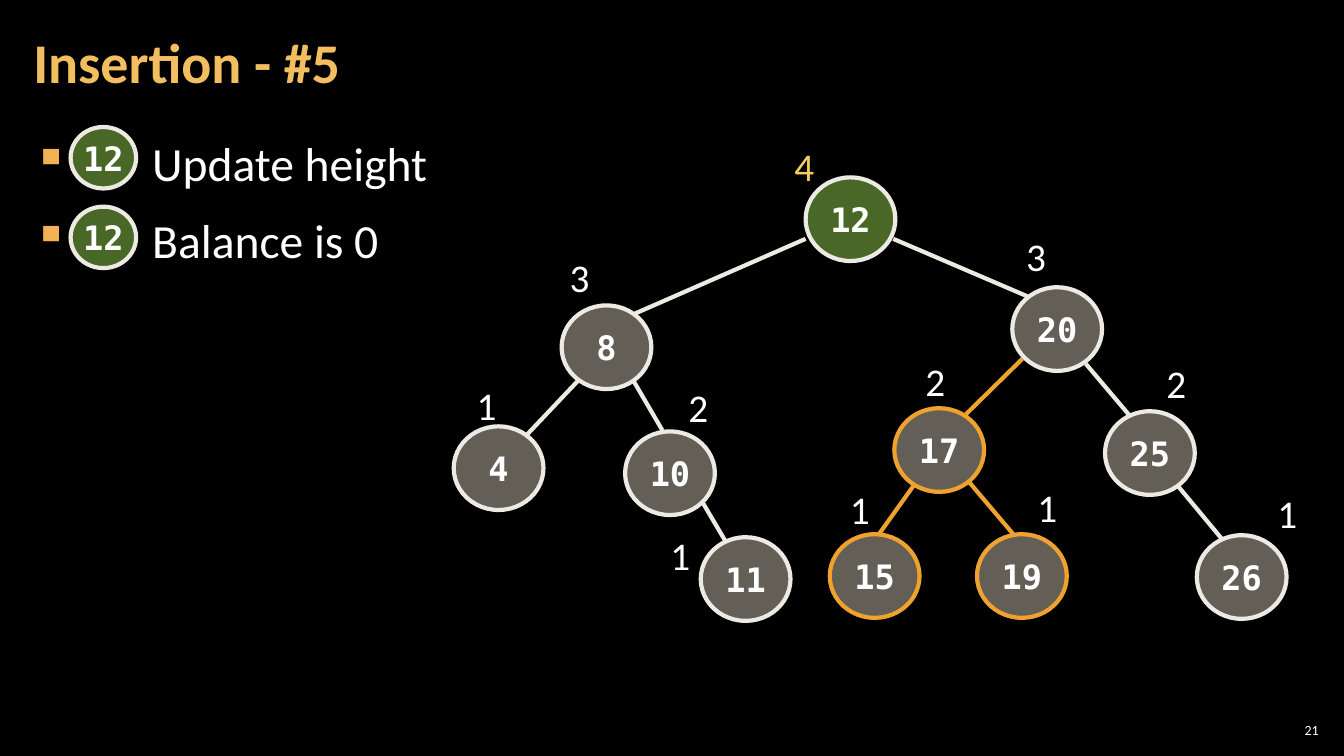
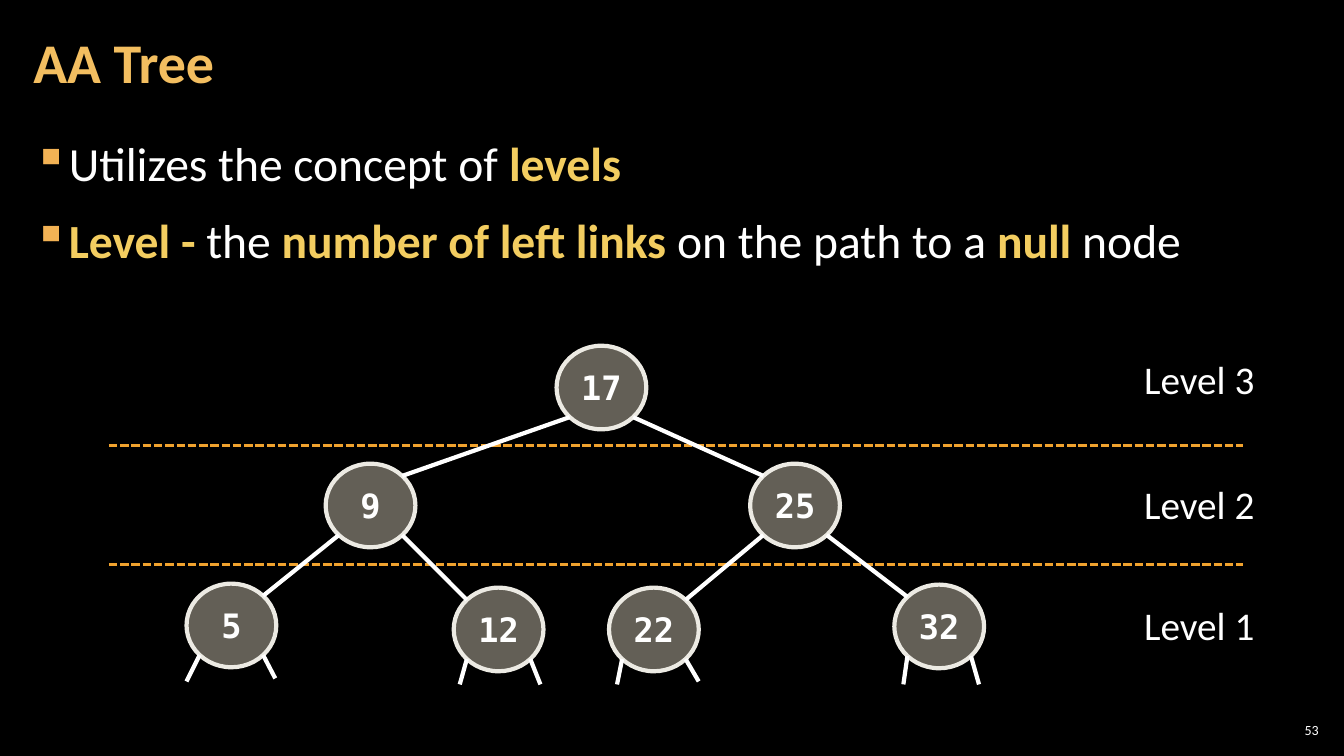
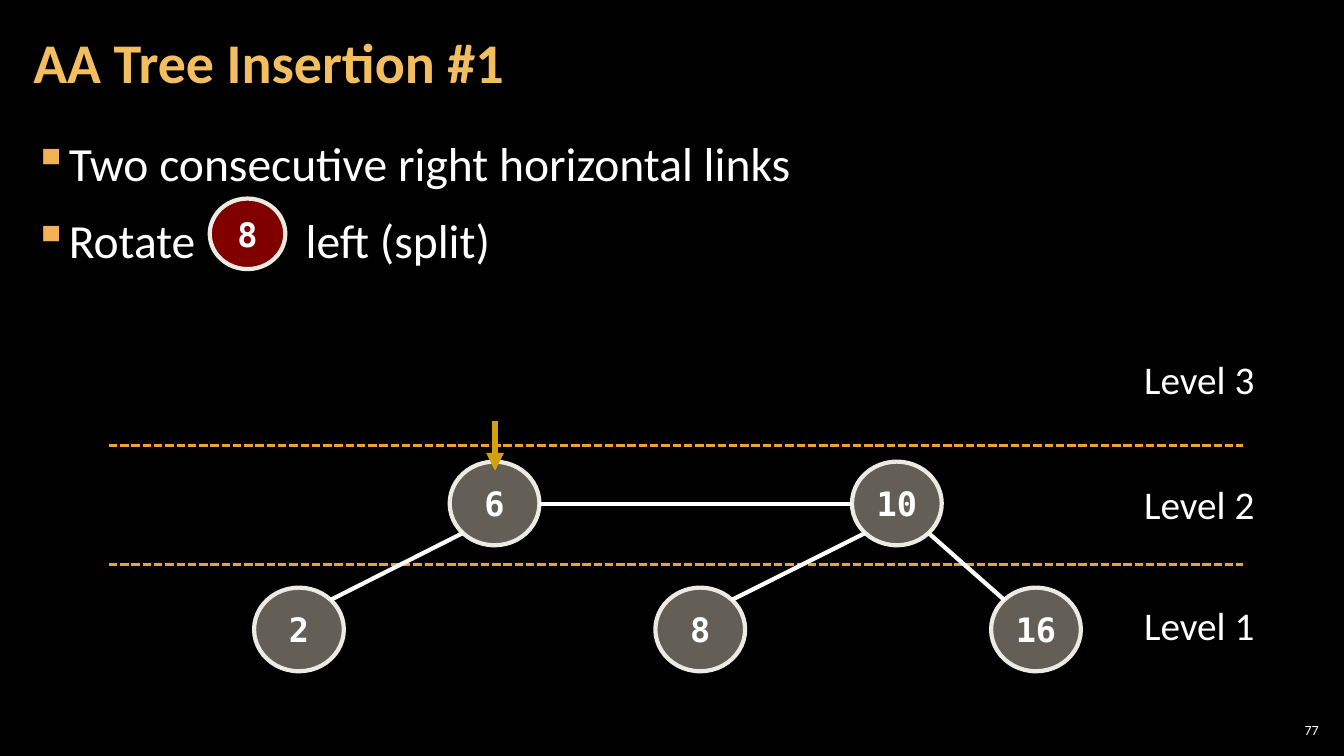
from pptx import Presentation
from pptx.dml.color import RGBColor
from pptx.enum.dml import MSO_LINE
from pptx.enum.shapes import MSO_CONNECTOR, MSO_SHAPE
from pptx.enum.text import MSO_ANCHOR, PP_ALIGN
from pptx.oxml.ns import qn
from pptx.util import Inches, Pt
from lxml.etree import SubElement

SANS, MONO = "Calibri", "DejaVu Sans Mono"
BLACK, WHITE, CREAM = "000000", "FFFFFF", "ECEAE3"
ORANGE, YELLOW, TITLE, BULLET, ARROW = "F0A22E", "F3CD60", "F3BE60", "F2B254", "D2A010"
TAUPE, GREEN, RED = "C7BFAC", "92D050", "FF0000"
NODE_W, NODE_H = 0.89, 0.83
HALF_DIAGONAL = 0.5 ** 0.5
TITLE_BOX = (0.21, 0.04, 10.47, 1.21)
BODY_BOX = (0.21, 1.26, 12.91, 6.09)
NUMBER_BOX = (12.65, 7.14, 0.47, 0.21)


def rgb(color):
    return RGBColor.from_string(color)


def style(font, size, color, bold=False, name=SANS):
    font.name, font.size, font.bold = name, Pt(size), bold
    font.color.rgb = rgb(color)


def set_insets(frame, side, upright=0.04):
    frame.margin_left = frame.margin_right = Inches(side)
    frame.margin_top = frame.margin_bottom = Inches(upright)


def add_label(page, box, text, size=28, color=WHITE, wrap=True):
    frame = page.shapes.add_textbox(*map(Inches, box)).text_frame
    frame.word_wrap = wrap
    frame.text = text
    style(frame.paragraphs[0].runs[0].font, size, color)
    return frame


def add_line(page, start, end, color=WHITE, width=3):
    line = page.shapes.add_connector(
        MSO_CONNECTOR.STRAIGHT, *map(Inches, (*start, *end)))
    line.line.color.rgb = rgb(color)
    line.line.width = Pt(width)
    SubElement(line._element.spPr, qn("a:effectLst"))
    return line


def add_node(page, left, top, text, fill=TAUPE, outline=CREAM, width=NODE_W, height=NODE_H):
    node = page.shapes.add_shape(MSO_SHAPE.OVAL, *map(Inches, (left, top, width, height)))
    node.shadow.inherit = False
    node.fill.solid()
    node.fill.fore_color.rgb = rgb(fill)
    color = node._element.spPr.find(qn("a:solidFill"))[0]
    SubElement(color, qn("a:alpha"), val="50000")
    node.line.color.rgb = rgb(outline)
    node.line.width = Pt(3)
    frame = node.text_frame
    frame.word_wrap = False
    frame.vertical_anchor = MSO_ANCHOR.MIDDLE
    frame.text = text
    para = frame.paragraphs[0]
    para.alignment = PP_ALIGN.CENTER
    style(para.runs[0].font, 24, WHITE, True, MONO)


def add_page(deck, title, number):
    page = deck.slides.add_slide(deck.slide_layouts[5])
    heading = page.shapes.title
    heading.left, heading.top, heading.width, heading.height = map(Inches, TITLE_BOX)
    frame = heading.text_frame
    set_insets(frame, 0.12)
    frame.vertical_anchor = MSO_ANCHOR.MIDDLE
    frame.text = title
    para = frame.paragraphs[0]
    para.alignment, para.line_spacing = PP_ALIGN.LEFT, 0.9
    style(para.runs[0].font, 40, TITLE, True)

    frame = add_label(page, NUMBER_BOX, number, 10)
    set_insets(frame, 0.04)
    frame.vertical_anchor = MSO_ANCHOR.MIDDLE
    frame.paragraphs[0].alignment = PP_ALIGN.RIGHT
    return page


def add_bullets(page, items, indent=0.33):
    """Each item is a list of (text, highlighted) or (text, highlighted, tracking in points)."""
    frame = page.shapes.add_textbox(*map(Inches, BODY_BOX)).text_frame
    frame.word_wrap = True
    set_insets(frame, 0.12)
    for index, item in enumerate(items):
        para = frame.add_paragraph() if index else frame.paragraphs[0]
        props = para._p.get_or_add_pPr()
        props.set("marL", str(Inches(indent)))
        props.set("indent", str(-Inches(indent)))
        SubElement(SubElement(props, qn("a:buClr")), qn("a:srgbClr"), val=BULLET)
        SubElement(props, qn("a:buChar"), char="▪")
        para.line_spacing = 1.05
        para.space_before, para.space_after = Pt(6 if index else 0), Pt(6)
        for text, highlighted, *tracking in item:
            span = para.add_run()
            span.text = text
            style(span.font, 34, YELLOW if highlighted else WHITE, highlighted)
            if tracking:
                span._r.get_or_add_rPr().set("spc", str(tracking[0] * 100))


def add_levels(page, left, top):
    for y in (1.42, 2.6):
        divider = add_line(page, (left + 0.08, top + y), (left + 11.33, top + y), ORANGE, 2)
        divider.line.dash_style = MSO_LINE.SQUARE_DOT
    for level, y in ((3, 0.48), (2, 1.72), (1, 2.92)):
        add_label(page, (left + 10.25, top + y, 1.31, 0.57), f"Level {level}", wrap=False)


def corner(spot, across, down):
    """Point on a node's outline at 45 degrees; across and down are -1 or 1."""
    return (spot[0] + NODE_W / 2 * (1 + across * HALF_DIAGONAL),
            spot[1] + NODE_H / 2 * (1 + down * HALF_DIAGONAL))


def add_level_tree(page, left, top, nodes, edges, stubs=()):
    """Edges are (parent, child, side); stubs are (leaf, left tip, right tip)."""
    spots = {key: (left + x, top + y) for key, (x, y) in nodes.items()}
    for key, spot in spots.items():
        add_node(page, *spot, key)
    for parent, child, side in edges:
        add_line(page, corner(spots[parent], side, 1), corner(spots[child], -side, -1))
    for leaf, *tips in stubs:
        for side, (x, y) in zip((-1, 1), tips):
            add_line(page, (left + x, top + y), corner(spots[leaf], side, 1))


def add_height_tree(page, left, top, nodes):
    """Nodes are (key, spot, height, height spot, edge from the parent, fill, outline)."""
    for *_, edge, _, outline in nodes:
        if edge:
            x1, y1, x2, y2 = edge
            add_line(page, (left + x1, top + y1), (left + x2, top + y2), outline)
    for key, (x, y), height, (label_x, label_y), _, fill, outline in nodes:
        add_node(page, left + x, top + y, key, fill, outline)
        add_label(page, (left + label_x, top + label_y, 0.42, 0.57), height,
                  color=YELLOW if fill == GREEN else WHITE)


def build_insertion(deck):
    page = add_page(deck, "Insertion - #5", "21")
    add_bullets(page, [[("Update height", False)], [("Balance is 0", False)]], indent=1.18)
    for y in (1.26, 2.05):
        add_node(page, 0.7, y, "12", GREEN, width=0.65, height=0.61)
    add_height_tree(page, 4, 1, [
        ("12", (3.99, 0.76), "4", (3.78, 0.36), None, GREEN, CREAM),
        ("8", (1.57, 2.03), "3", (1.55, 1.46), (3.99, 1.37, 2.3, 2.11), TAUPE, CREAM),
        ("20", (6.04, 1.85), "3", (6.08, 1.26), (4.86, 1.37, 6.19, 1.94), TAUPE, CREAM),
        ("4", (0.5, 3.23), "1", (0.63, 2.73), (1.74, 2.77, 1.21, 3.33), TAUPE, CREAM),
        ("10", (2.2, 3.28), "2", (2.73, 2.75), (2.29, 2.79, 2.57, 3.27), TAUPE, CREAM),
        ("17", (4.87, 3.05), "2", (5.08, 2.5), (6.14, 2.56, 5.58, 3.11), TAUPE, ORANGE),
        ("25", (6.96, 3.08), "2", (7.47, 2.52), (6.77, 2.61, 7.21, 3.13), TAUPE, CREAM),
        ("11", (2.95, 4.33), "1", (2.55, 4.22), (2.96, 3.97, 3.19, 4.36), TAUPE, CREAM),
        ("15", (4.23, 4.3), "1", (4.33, 3.77), (5.06, 3.82, 4.71, 4.31), TAUPE, ORANGE),
        ("19", (5.69, 4.3), "1", (6.19, 3.75), (5.61, 3.78, 6.05, 4.3), TAUPE, ORANGE),
        ("26", (7.87, 4.31), "1", (8.57, 3.81), (7.69, 3.83, 8.13, 4.36), TAUPE, CREAM),
    ])


def build_aa_tree(deck):
    page = add_page(deck, "AA Tree", "53")
    add_bullets(page, [
        [("Utilizes the concept of ", False), ("levels", True)],
        [("Level - ", True), ("the ", False), ("number of left links", True),
         (" on the path to a ", False), ("null", True), (" node", False)],
    ])
    add_levels(page, 1, 3)
    add_level_tree(
        page, 1, 3,
        {"17": (4.52, 0.43), "9": (2.23, 1.6), "25": (6.44, 1.6), "5": (0.85, 2.79),
         "12": (3.5, 2.83), "22": (5.04, 2.83), "32": (7.87, 2.8)},
        [("17", "9", -1), ("17", "25", 1), ("9", "5", -1), ("9", "12", 1),
         ("25", "22", -1), ("25", "32", 1)],
        [("5", (0.85, 3.76), (1.73, 3.73)), ("12", (3.56, 3.79), (4.36, 3.79)),
         ("22", (5.12, 3.79), (5.93, 3.76)), ("32", (7.96, 3.79), (8.71, 3.79))])


def build_aa_insertion(deck):
    page = add_page(deck, "AA Tree Insertion #1", "77")
    add_bullets(page, [
        [("Two consecutive right horizontal links", False)],
        [("Rotate", False), (" ", False, 71), ("left (split)", False)],
    ])
    add_node(page, 2.08, 1.97, "8", RED, width=0.75, height=0.7)
    add_levels(page, 1, 3)
    add_level_tree(
        page, 1, 3,
        {"6": (3.46, 1.58), "10": (7.45, 1.58), "2": (1.52, 2.83),
         "8": (5.5, 2.83), "16": (8.83, 2.83)},
        [("6", "2", -1), ("10", "8", -1), ("10", "16", 1)])
    add_line(page, (5.35, 5), (8.45, 5))
    arrow = add_line(page, (4.91, 4.18), (4.91, 4.67), ARROW, 4.25)
    SubElement(arrow.line._get_or_add_ln(), qn("a:tailEnd"), type="triangle")


def main():
    deck = Presentation()
    deck.slide_width, deck.slide_height = Inches(13.33), Inches(7.5)
    backdrop = deck.slide_master.background.fill
    backdrop.solid()
    backdrop.fore_color.rgb = rgb(BLACK)
    build_insertion(deck)
    build_aa_tree(deck)
    build_aa_insertion(deck)
    deck.save("out.pptx")


if __name__ == "__main__":
    main()
